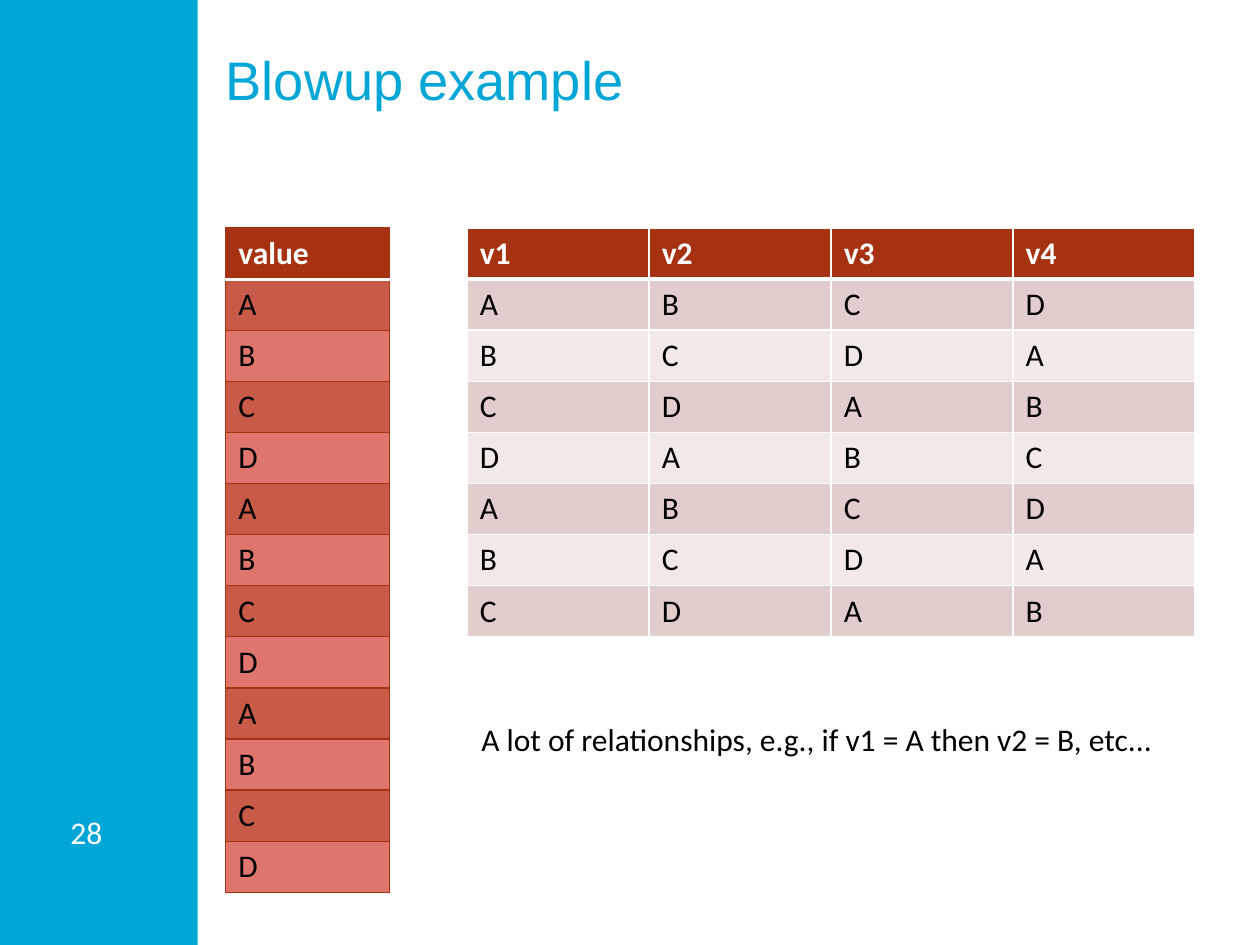
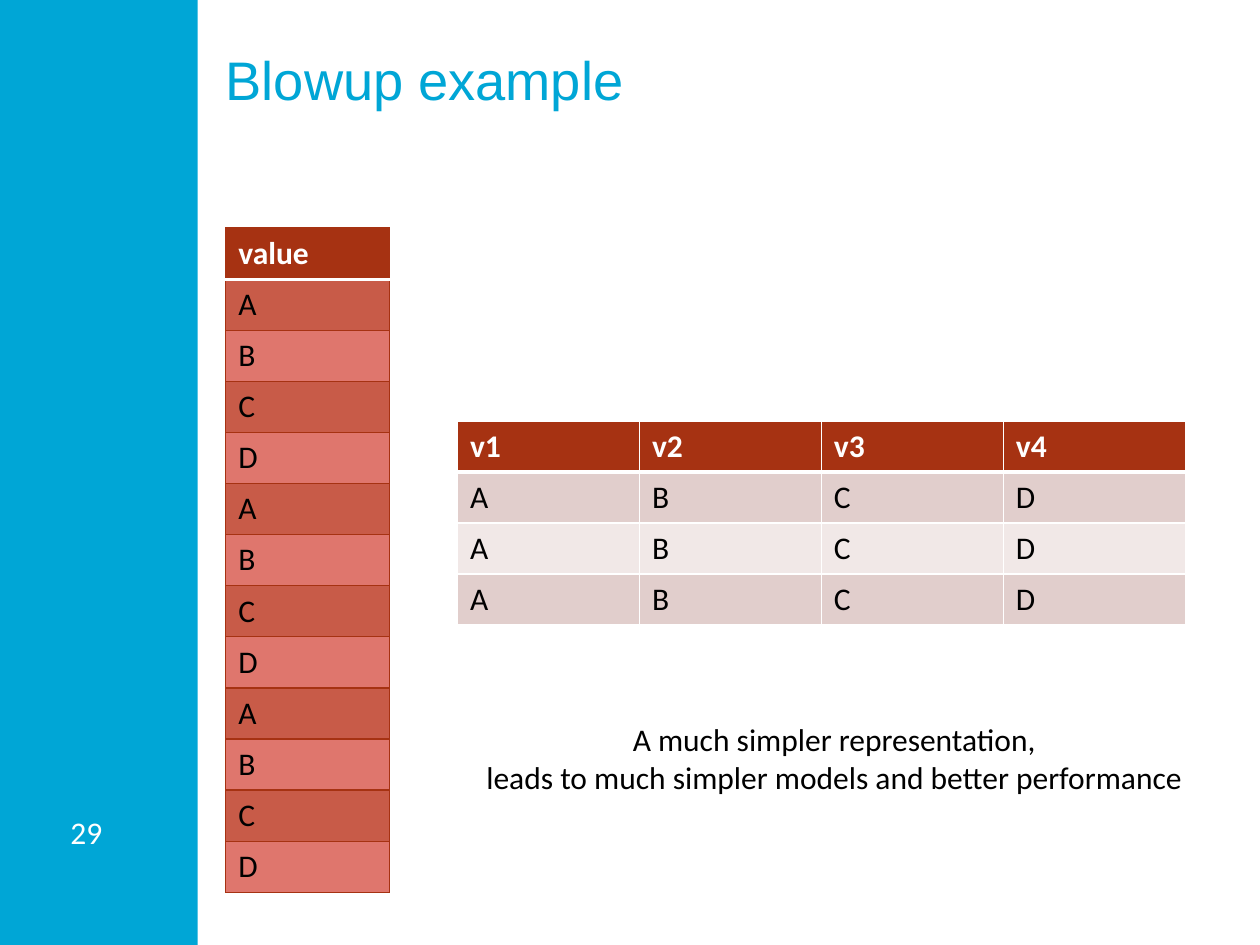
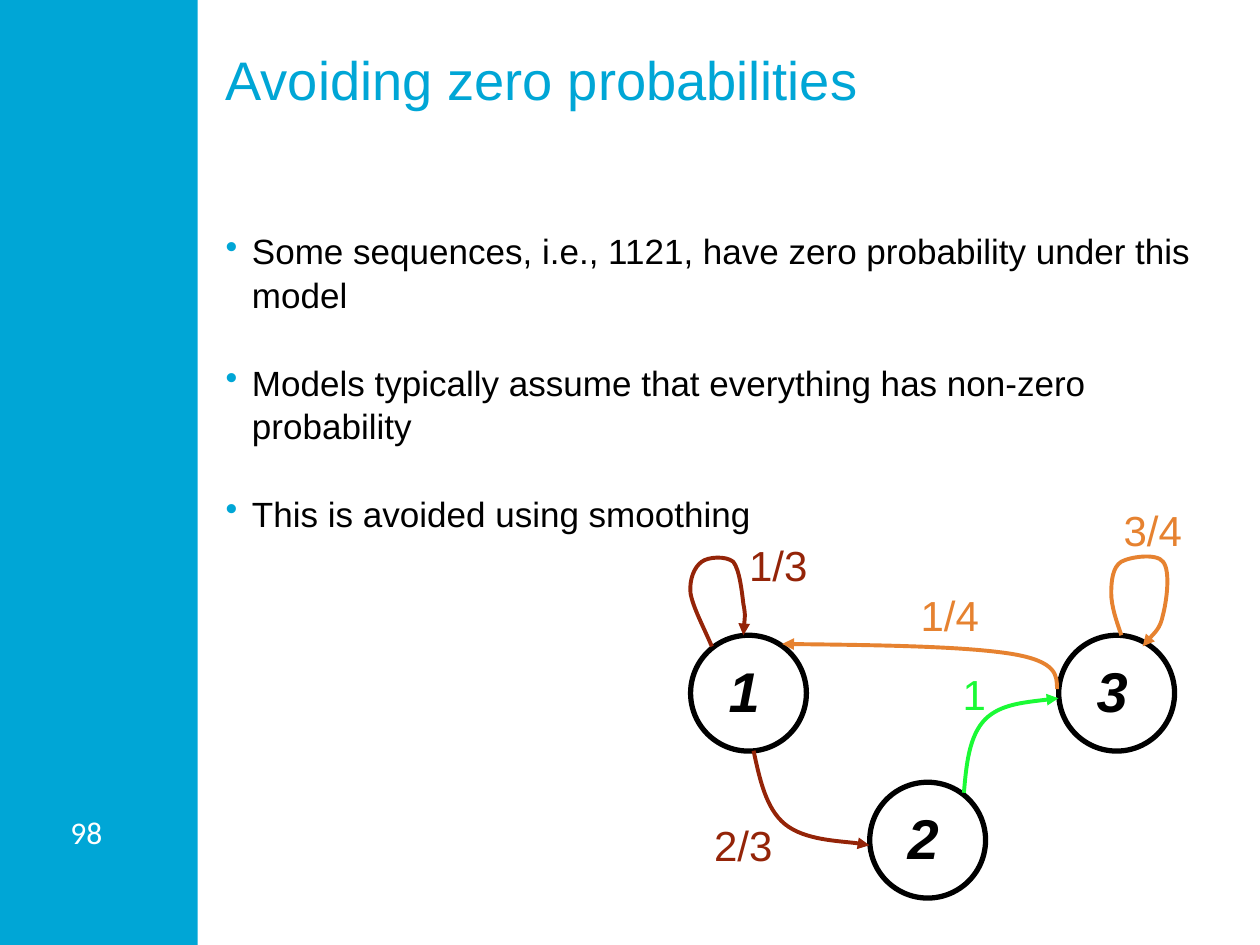
from dataclasses import dataclass

from lxml import etree
from pptx import Presentation
from pptx.dml.color import RGBColor
from pptx.enum import shapes, text
from pptx.oxml import ns
from pptx.util import Pt


@dataclass(frozen=True)
class Theme:
    """Colours, fonts and type sizes of the deck."""
    cyan: str = "00A6D6"
    white: str = "FFFFFF"
    black: str = "000000"
    rust: str = "A63212"
    brown: str = "942408"
    orange: str = "E68230"
    green: str = "1AFA35"
    pale: tuple = ("E1CECC", "F1E8E7")
    deep: tuple = ("C85B48", "DF766D")
    sans: str = "Arial"
    plain: str = "Calibri"
    title: int = 31
    body: int = 20
    small: int = 18
    label: int = 24
    node: int = 32


T = Theme()
LEFT, TOP, WIDE = 129, 130.3, 554.4
CYCLE = "ABCD"
NODES = {"1": (0.6, 78), "3": (211, 78), "2": (103, 162)}
EDGES = [
    ("1/3", (27, 19.6), T.brown, [
        (12.8, 84.4), (7.8, 72.8), (2, 62), (0.6, 54), (-0.2, 46.2), (2.7, 39),
        (7, 36), (10.6, 33.2), (20.7, 32.5), (25, 36), (28.6, 40.4), (30, 53.4),
        (30.8, 60), (32.2, 67), (30.8, 75), (30.8, 78)]),
    ("2/3", (7, 180), T.brown, [
        (36.6, 144), (40.2, 160.7), (43.8, 177.2), (54.6, 186),
        (66, 195.2), (95, 196), (102.8, 198)]),
    ("1", (149, 93.7), T.green, [
        (156.8, 168), (158.2, 152), (159.7, 135.5), (169, 126),
        (177.7, 117.5), (194.2, 116), (210.8, 114)]),
    ("3/4", (241, 0), T.orange, [
        (246.8, 78), (244, 70), (241, 61.3), (241, 54), (241, 47), (241.8, 39),
        (246.8, 36), (251.8, 33.2), (267, 31), (270.6, 36), (275, 41.2),
        (272.7, 58.4), (270.6, 66.4), (269, 74.3), (261.2, 81.5), (259, 84.4)]),
    ("1/4", (125, 48.4), T.orange, [
        (210, 108.8), (210, 101), (210, 93), (184.2, 88.7),
        (157.5, 84.4), (105.7, 83.6), (53, 83)]),
]


def rgb(tone):
    """Turn a hex string into a colour."""
    return RGBColor.from_string(tone)


def style(par, size, tone, face, bold=None, slant=None):
    """Set the font of a paragraph."""
    font = par.font
    font.size, font.name, font.bold, font.italic = Pt(size), face, bold, slant
    font.color.rgb = rgb(tone)


def write(slide, box, lines, size, tone, face, wrap=False, pad=(7.2, 3.6), align=None):
    """Add a text box and return its paragraphs."""
    frame = slide.shapes.add_textbox(*map(Pt, box)).text_frame
    frame.word_wrap = wrap
    frame.margin_left = frame.margin_right = Pt(pad[0])
    frame.margin_top = frame.margin_bottom = Pt(pad[1])
    frame.text = "\n".join(lines)
    for par in frame.paragraphs:
        par.alignment = align
        style(par, size, tone, face)
    return frame.paragraphs


def base(deck, title, page):
    """Start a slide with its side band, page number and title."""
    slide = deck.slides.add_slide(deck.slide_layouts[6])
    band = slide.shapes.add_shape(shapes.MSO_SHAPE.RECTANGLE, 0, 0, Pt(113), Pt(540))
    band.shadow.inherit = False
    band.fill.solid()
    band.fill.fore_color.rgb = rgb(T.cyan)
    band.line.fill.background()
    write(slide, (35.3, 461.5, 39, 28.8), [str(page)], T.small, T.white, T.plain,
          pad=(5, 3))
    write(slide, (LEFT, 26.6, WIDE, 83.5), [title], T.title, T.cyan, T.sans,
          wrap=True, pad=(0, 0))
    return slide


def border(cell, edges):
    """Draw the cell borders given as side: (tone, width)."""
    props = cell._tc.get_or_add_tcPr()
    for spot, (side, (tone, width)) in enumerate(edges.items()):
        line = etree.Element(ns.qn(f"a:ln{side}"), w=str(Pt(width)))
        fill = etree.SubElement(line, ns.qn("a:solidFill"))
        etree.SubElement(fill, ns.qn("a:srgbClr"), val=tone)
        props.insert(spot, line)


def grid(slide, spot, wide, rows, bands, edge, rule):
    """Add a table with a dark head row over banded rows."""
    size = (wide * len(rows[0]), 29.2 * len(rows))
    table = slide.shapes.add_table(len(rows), len(rows[0]),
                                   *map(Pt, spot + size)).table
    for col in table.columns:
        col.width = Pt(wide)
    for r, row in enumerate(rows):
        table.rows[r].height = Pt(29.2)
        for c, word in enumerate(row):
            cell = table.cell(r, c)
            cell.text = word
            style(cell.text_frame.paragraphs[0], T.small,
                  T.black if r else T.white, T.plain, bold=not r)
            cell.fill.solid()
            cell.fill.fore_color.rgb = rgb(bands[(r - 1) % 2] if r else T.rust)
            border(cell, {"L": edge, "R": edge, "T": rule if r == 1 else edge,
                          "B": edge if r else rule})


def blowup(deck, page, spot, rows, note, box):
    """Build a slide that sets a list of values beside its wide table."""
    slide = base(deck, "Blowup example", page)
    heads = [f"v{i}" for i in range(1, 5)]
    grid(slide, spot, 104, [heads, *rows], T.pale, (T.white, 1), (T.white, 3))
    grid(slide, (LEFT, TOP), 93.6, [["value"], *(CYCLE * 3)], T.deep,
         (T.rust, 0.79), (T.white, 2))
    write(slide, box, note, T.small, T.black, T.plain,
          align=text.PP_ALIGN.CENTER if len(note) > 1 else None)


def bullets(slide, box, lines):
    """Add a bulleted list with a free line between the points."""
    pars = write(slide, box, lines, T.body, T.black, T.sans, wrap=True, pad=(0, 0))
    for i, par in enumerate(pars):
        par.line_spacing = Pt(25)
        if i:
            par.space_before = Pt(25)
        props = par._p.get_or_add_pPr()
        props.set("marL", str(Pt(15)))
        props.set("indent", str(Pt(-15)))
        tint = etree.Element(ns.qn("a:buClr"))
        etree.SubElement(tint, ns.qn("a:srgbClr"), val=T.cyan)
        mark = etree.Element(ns.qn("a:buChar"), char="•")
        font = props.find(ns.qn("a:defRPr"))
        font.addprevious(tint)
        font.addprevious(mark)


def curve(slide, dots, tone):
    """Draw a chain of cubic curves that ends in an arrowhead."""
    dots = [(Pt(x), Pt(y)) for x, y in dots]
    pen = slide.shapes.build_freeform(*dots[0])
    pen.add_line_segments(dots[1:], close=False)
    shape = pen.convert_to_shape()
    shape.shadow.inherit = False
    shape.fill.background()
    shape.line.color.rgb = rgb(tone)
    shape.line.width = Pt(2.25)
    track = shape._element.xpath(".//a:path")[0]
    steps = track.findall(ns.qn("a:lnTo"))
    for i in range(0, len(steps), 3):
        bend = etree.SubElement(track, ns.qn("a:cubicBezTo"))
        for step in steps[i:i + 3]:
            bend.append(step[0])
            track.remove(step)
    etree.SubElement(shape.line._get_or_add_ln(), ns.qn("a:tailEnd"), type="triangle")


def node(slide, x, y, name):
    """Draw one numbered state."""
    ring = slide.shapes.add_shape(shapes.MSO_SHAPE.OVAL, Pt(x), Pt(y), Pt(66.2), Pt(66.2))
    ring.shadow.inherit = False
    ring.fill.solid()
    ring.fill.fore_color.rgb = rgb(T.white)
    ring.line.color.rgb = rgb(T.black)
    ring.line.width = Pt(3)
    frame = ring.text_frame
    frame.word_wrap = False
    frame.margin_left = frame.margin_top = 0
    frame.margin_right, frame.margin_bottom = Pt(5), Pt(3)
    frame.vertical_anchor = text.MSO_ANCHOR.MIDDLE
    frame.text = name
    par = frame.paragraphs[0]
    par.alignment = text.PP_ALIGN.CENTER
    style(par, T.node, T.black, T.sans, bold=True, slant=True)


def chain(slide, left, top):
    """Draw the states and their weighted moves."""
    for name, (x, y) in NODES.items():
        node(slide, left + x, top + y, name)
    for name, (x, y), tone, dots in EDGES:
        curve(slide, [(left + a, top + b) for a, b in dots], tone)
        wide = 48 if len(name) > 1 else 28
        write(slide, (left + x, top + y, wide, 36.4), [name], T.label, tone, T.sans)


def zero(deck, page):
    """Build the slide on zero probabilities."""
    slide = base(deck, "Avoiding zero probabilities", page)
    bullets(slide, (LEFT, TOP, WIDE, 378.7), [
        "Some sequences, i.e., 1121, have zero probability under this model",
        "Models typically assume that everything has non-zero probability",
        "This is avoided using smoothing"])
    chain(slide, 394, 285)


def main():
    """Build and save the deck."""
    deck = Presentation()
    deck.slide_width, deck.slide_height = Pt(720), Pt(540)
    turns = [(CYCLE * 2)[i % 4:i % 4 + 4] for i in range(7)]
    blowup(deck, 28, (267, TOP), turns,
           ["A lot of relationships, e.g., if v1 = A then v2 = B, etc..."],
           (268, 408, 402.5, 29))
    blowup(deck, 29, (261.4, 240.5), [CYCLE] * 3,
           ["A much simpler representation,",
            "leads to much simpler models and better performance"],
           (268, 408, 417.6, 51))
    zero(deck, 98)
    deck.save("out.pptx")


if __name__ == "__main__":
    main()
